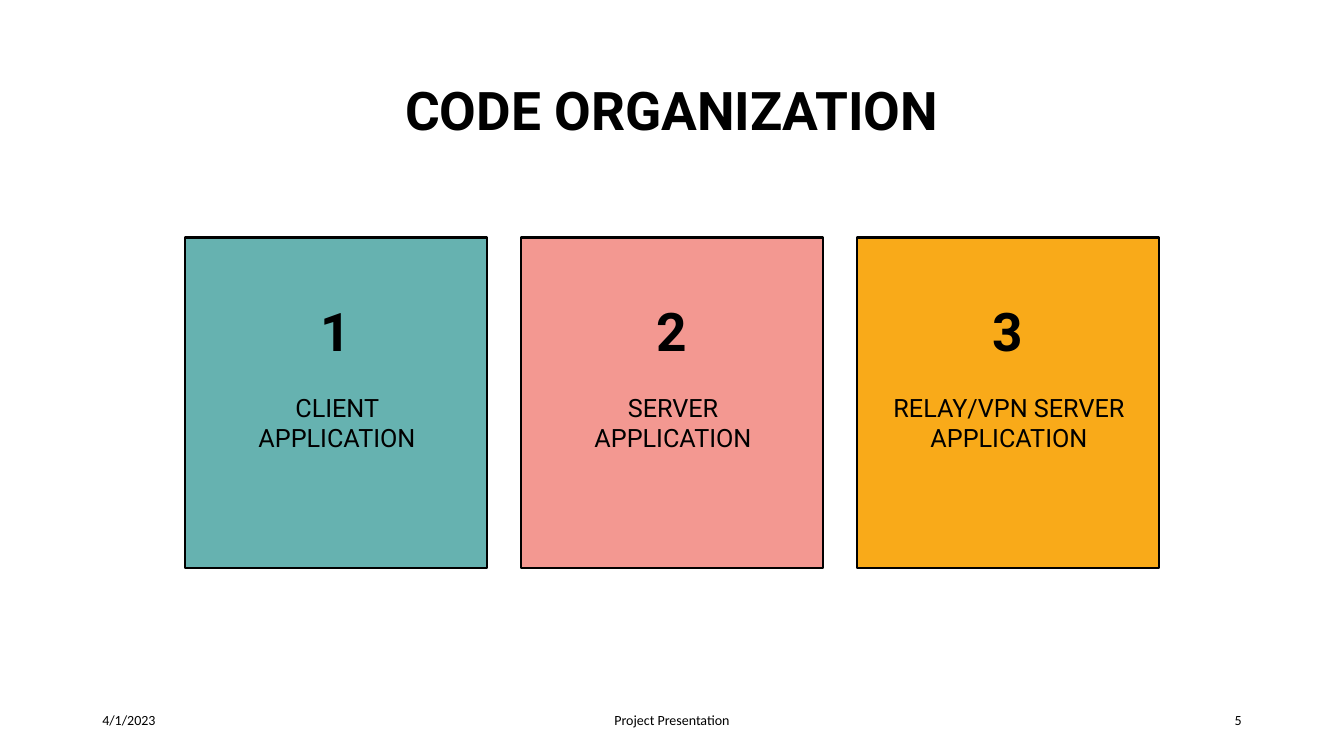
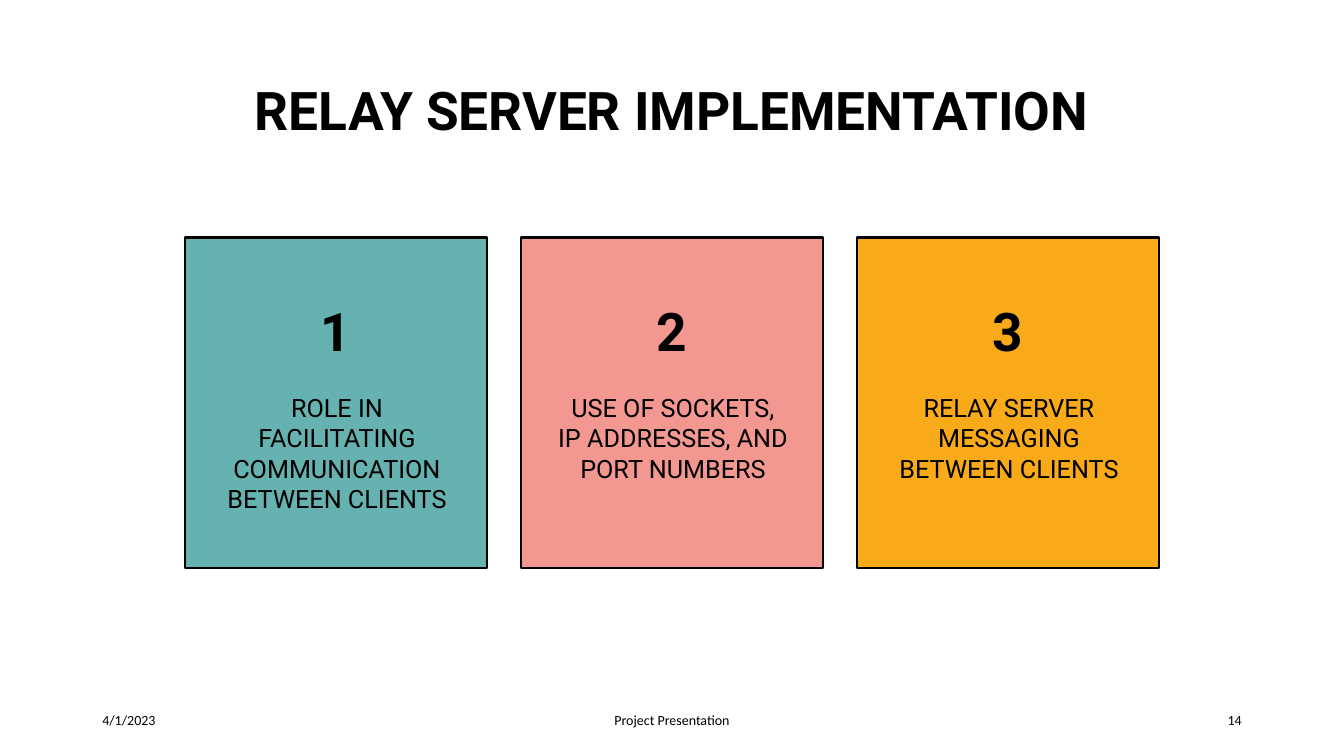
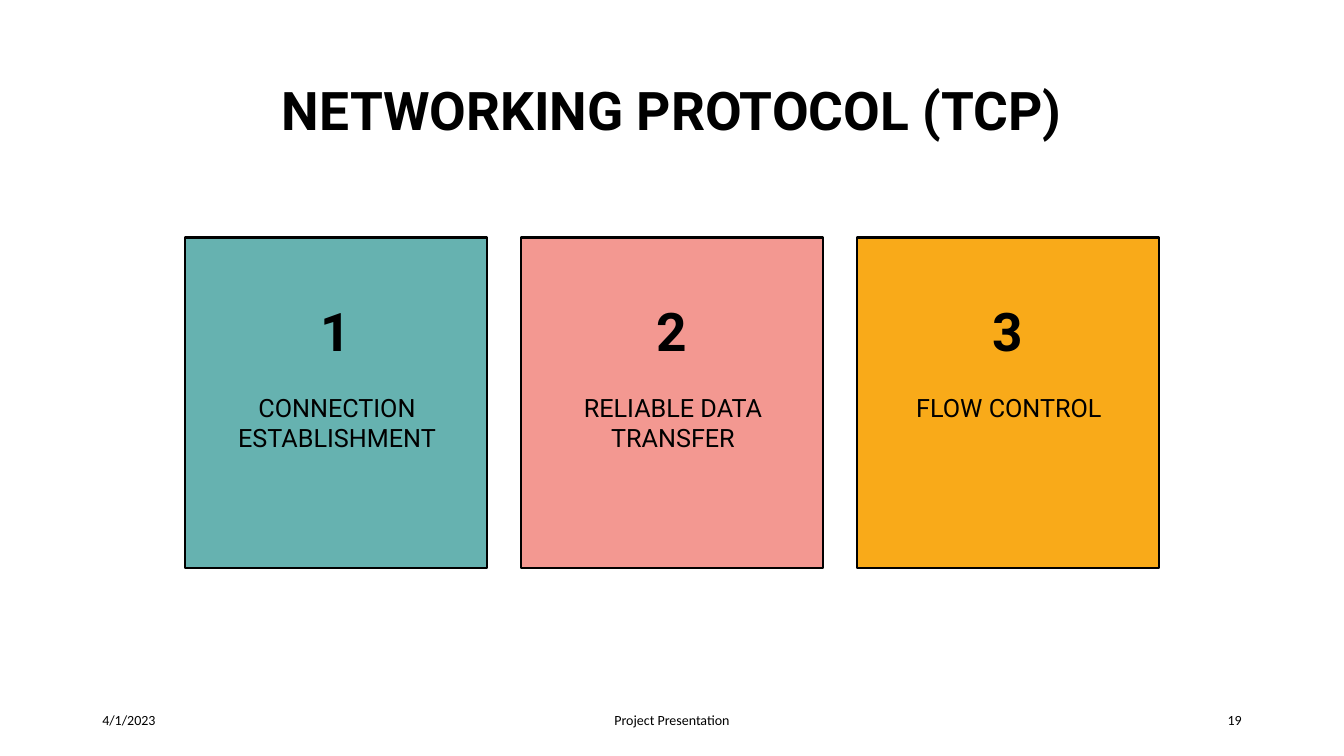
from dataclasses import dataclass

from pptx import Presentation
from pptx.dml.color import RGBColor
from pptx.enum.shapes import MSO_SHAPE
from pptx.enum.text import MSO_ANCHOR, PP_ALIGN
from pptx.util import Emu, Pt

SCALE = 9525


@dataclass(frozen=True)
class Style:
    """Hold the font, size, weight and line spacing of a kind of text."""

    font: str
    size: int
    bold: bool = False
    space: float = 1.0


class Theme:
    """Hold the colours and type styles that the slides share."""

    ink = RGBColor.from_string("000000")
    fills = [RGBColor.from_string(code) for code in ("66B2B0", "F39891", "F9AA19")]
    line = Pt(1.75)
    head = Style("Roboto", 38, True, 0.9)
    body = Style("Roboto", 18)
    foot = Style("Calibri", 10)


SLIDES = [
    ("CODE ORGANIZATION", 5,
     ["CLIENT APPLICATION", "SERVER APPLICATION", "RELAY/VPN SERVER APPLICATION"]),
    ("RELAY SERVER IMPLEMENTATION", 14,
     ["ROLE IN FACILITATING COMMUNICATION BETWEEN CLIENTS",
      "USE OF SOCKETS, IP ADDRESSES, AND PORT NUMBERS",
      "RELAY SERVER MESSAGING BETWEEN CLIENTS"]),
    ("NETWORKING PROTOCOL (TCP)", 19,
     ["CONNECTION ESTABLISHMENT", "RELIABLE DATA TRANSFER", "FLOW CONTROL"]),
]


def px(*sizes):
    """Turn pixel lengths into EMU."""
    return [Emu(size * SCALE) for size in sizes]


def write(shape, text, style, align=PP_ALIGN.CENTER, anchor=MSO_ANCHOR.TOP):
    """Put one styled run of text into a shape."""
    frame = shape.text_frame
    frame.word_wrap = True
    frame.vertical_anchor = anchor
    para = frame.paragraphs[0]
    para.alignment = align
    para.line_spacing = style.space
    run = para.add_run()
    run.text = text
    run.font.name = style.font
    run.font.size = Pt(style.size)
    run.font.bold = style.bold
    run.font.color.rgb = Theme.ink


def label(slide, area, text, style, **place):
    """Add a text box."""
    write(slide.shapes.add_textbox(*px(*area)), text, style, **place)


def card(slide, index, text):
    """Add a numbered colour card with its caption."""
    left = 176 + index * 320
    box = slide.shapes.add_shape(MSO_SHAPE.RECTANGLE, *px(left, 226, 288, 315))
    box.shadow.inherit = False
    box.fill.solid()
    box.fill.fore_color.rgb = Theme.fills[index]
    box.line.color.rgb = Theme.ink
    box.line.width = Theme.line
    frame = box.text_frame
    frame.margin_left, frame.margin_top, frame.margin_right, frame.margin_bottom = px(0, 65, 0, 0)
    write(box, str(index + 1), Theme.head)
    label(slide, (left + 25, 369, 240, 149), text, Theme.body)


def footer(slide, number):
    """Add the date, the deck name and the slide number."""
    parts = [
        (88, 288, "4/1/2023", PP_ALIGN.LEFT),
        (424, 432, "Project Presentation", PP_ALIGN.CENTER),
        (904, 288, str(number), PP_ALIGN.RIGHT),
    ]
    for left, width, text, align in parts:
        label(slide, (left, 667, width, 38), text, Theme.foot,
              align=align, anchor=MSO_ANCHOR.MIDDLE)


def main():
    """Build the deck and save it."""
    deck = Presentation()
    deck.slide_width, deck.slide_height = px(1280, 720)
    for title, number, items in SLIDES:
        slide = deck.slides.add_slide(deck.slide_layouts[6])
        label(slide, (88, 38, 1104, 139), title, Theme.head, anchor=MSO_ANCHOR.MIDDLE)
        for index, text in enumerate(items):
            card(slide, index, text)
        footer(slide, number)
    deck.save("out.pptx")


if __name__ == "__main__":
    main()
